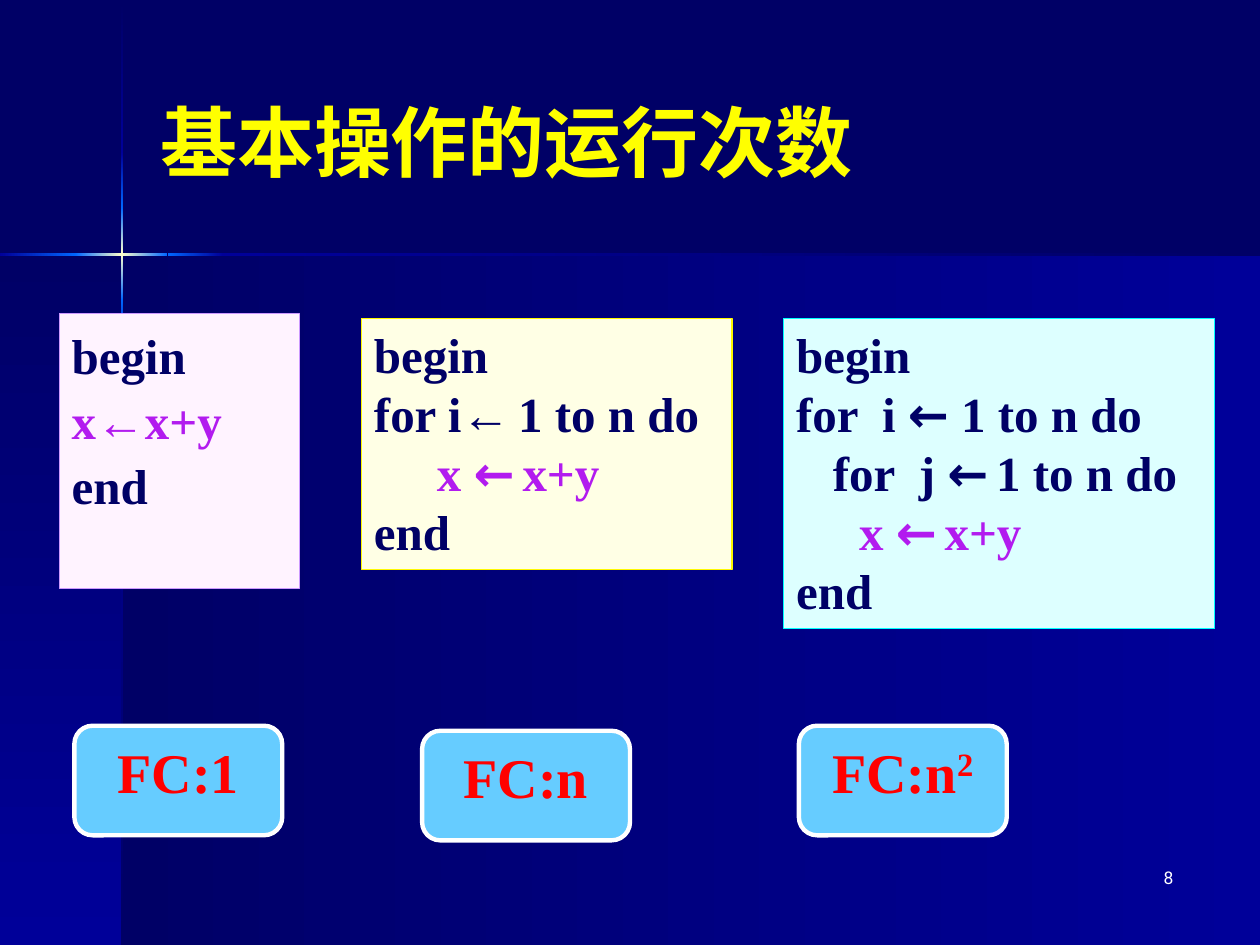
"""Build the slide on how often the basic operation runs in three programs."""
from pptx import Presentation, util as u
from pptx.dml.color import RGBColor
from pptx.enum import shapes, text
from pptx.oxml import parse_xml
from pptx.oxml.ns import nsdecls

COLORS = {
    "navy": "000066", "blue": "000099", "bright": "0066FF", "glow": "FFFFCC",
    "title": "FFFF00", "white": "FFFFFF", "action": "B21BEF", "count": "FF0000",
    "button": "66CCFF", "pink": "FFF3FF", "pink line": "CC99FF", "cream": "FFFFE5",
    "cream line": "FEF800", "cyan": "DDFFFF", "cyan line": "00FFFF",
}
WIDTH, HEIGHT = 10, 7.5
CROSS_X, CROSS_Y, BEAM = 0.97, 2.02, 0.02
CODE_TOP, BUTTON_TOP = 2.53, 5.76
BUTTON_SIZE = (1.65, 0.87)

TITLE = "基本操作的运行次数"
PAGE = "8"
FORMATS = {
    "title": dict(name="Roboto", size=u.Pt(44), bold=True, color="title"),
    "page": dict(name="Roboto", size=u.Pt(10), bold=False, color="white"),
    "code": dict(name="Times New Roman", size=u.Pt(28), bold=True, color="navy"),
    "action": dict(name="Times New Roman", size=u.Pt(28), bold=True, color="action"),
    "arrow": dict(name="Roboto", size=u.Pt(28), bold=True, color="navy"),
    "action arrow": dict(name="Roboto", size=u.Pt(28), bold=True, color="action"),
    "gap": dict(name="Roboto", size=u.Pt(18), bold=False, color="white"),
    "count": dict(name="Times New Roman", size=u.Pt(32), bold=True, color="count"),
}
BEGIN, END, LOOP = [("begin", "code")], [("end", "code")], ("1 to n do", "code")
GAP = (" ", "gap")
INNER_ACTION = [("\tx ", "action"), ("←", "action arrow"), GAP, ("x+y", "action")]
PROGRAMS = [
    dict(box=(0.47, CODE_TOP - 0.04, 1.91, 2.18), color="pink", spacing=1.1,
         lines=[BEGIN, [("x←x+y", "action")], END],
         button=(0.59, BUTTON_TOP), count="FC:1", power=""),
    dict(box=(2.87, CODE_TOP, 2.94, 1.99), color="cream", spacing=1.0,
         lines=[BEGIN, [("for i←", "code"), GAP, LOOP], INNER_ACTION, END],
         button=(3.35, BUTTON_TOP + 0.04), count="FC:n", power=""),
    dict(box=(6.22, CODE_TOP, 3.42, 2.46), color="cyan", spacing=1.0,
         lines=[BEGIN, [("for  i ", "code"), ("← ", "arrow"), LOOP],
                [("   for  j ", "code"), ("←", "arrow"), GAP, LOOP],
                INNER_ACTION, END],
         button=(6.34, BUTTON_TOP), count="FC:n", power="2"),
]
PANELS = [
    ((CROSS_X, CROSS_Y, WIDTH - CROSS_X, HEIGHT - CROSS_Y), 0),
    ((0, CROSS_Y, CROSS_X, HEIGHT - CROSS_Y), 90),
]
VERTICAL_BEAM = [
    (0.01, 1.21, ["navy", "blue"]), (2.82, HEIGHT, ["blue", "navy"]),
    (2.38, 2.82, ["bright", "blue"]), (1.21, 1.65, ["blue", "bright"]),
    (1.65, 2.38, ["bright", "glow", "bright"]),
]
HORIZONTAL_BEAM = [
    (1.77, WIDTH, ["blue", "navy"]), (0, 0.61, ["blue", "bright"]),
    (1.33, 1.77, ["bright", "blue"]), (0.6, 1.33, ["bright", "glow", "bright"]),
]


def rgb(name):
    return RGBColor.from_string(COLORS[name])


def add_shape(slide, kind, box):
    shape = slide.shapes.add_shape(kind, *map(u.Inches, box))
    shape.shadow.inherit = False
    return shape


def add_gradient(slide, box, angle, names):
    shape = add_shape(slide, shapes.MSO_SHAPE.RECTANGLE, box)
    shape.line.fill.background()
    shape.fill.background()
    stops = "".join(
        f'<a:gs pos="{index * 100000 // (len(names) - 1)}">'
        f'<a:srgbClr val="{COLORS[name]}"/></a:gs>'
        for index, name in enumerate(names))
    gradient = parse_xml(
        f'<a:gradFill {nsdecls("a")} rotWithShape="1"><a:gsLst>{stops}</a:gsLst>'
        f'<a:lin ang="{angle * 60000}" scaled="0"/></a:gradFill>')
    properties = shape.element.spPr
    properties.replace(properties.find("{*}noFill"), gradient)


def add_run(paragraph, words, style):
    run = paragraph.add_run()
    run.text = words
    for key, value in FORMATS[style].items():
        if key == "color":
            run.font.color.rgb = rgb(value)
        else:
            setattr(run.font, key, value)
    return run


def write(shape, lines, align, anchor=text.MSO_ANCHOR.TOP, wrap=True, spacing=1.0):
    frame = shape.text_frame
    frame.word_wrap = wrap
    frame.vertical_anchor = anchor
    for index, line in enumerate(lines):
        paragraph = frame.add_paragraph() if index else frame.paragraphs[0]
        paragraph.alignment = align
        paragraph.line_spacing = spacing
        for words, style in line:
            add_run(paragraph, words, style)


def paint(shape, fill, line, width):
    shape.fill.solid()
    shape.fill.fore_color.rgb = rgb(fill)
    shape.line.color.rgb = rgb(line)
    shape.line.width = u.Pt(width)


def add_backdrop(slide):
    slide.background.fill.solid()
    slide.background.fill.fore_color.rgb = rgb("navy")
    for box, angle in PANELS:
        add_gradient(slide, box, angle, ["navy", "blue"])
    for start, end, names in VERTICAL_BEAM:
        add_gradient(slide, (CROSS_X - BEAM / 2, start, BEAM, end - start), 90, names)
    for start, end, names in HORIZONTAL_BEAM:
        add_gradient(slide, (start, CROSS_Y - BEAM / 2, end - start, BEAM), 0, names)


def add_program(slide, program):
    code = add_shape(slide, shapes.MSO_SHAPE.RECTANGLE, program["box"])
    paint(code, program["color"], program["color"] + " line", 0.75)
    write(code, program["lines"], text.PP_ALIGN.LEFT, spacing=program["spacing"])

    button = add_shape(slide, shapes.MSO_SHAPE.ROUNDED_RECTANGLE,
                       program["button"] + BUTTON_SIZE)
    paint(button, "button", "white", 2.5)
    write(button, [[(program["count"], "count")]], text.PP_ALIGN.CENTER, wrap=False)
    if program["power"]:
        power = add_run(button.text_frame.paragraphs[0], program["power"], "count")
        power.font._element.set("baseline", "30000")


def main():
    presentation = Presentation()
    presentation.slide_width, presentation.slide_height = u.Inches(WIDTH), u.Inches(HEIGHT)
    slide = presentation.slides.add_slide(presentation.slide_layouts[5])
    add_backdrop(slide)

    title = slide.shapes.title
    title.left, title.top, title.width, title.height = map(
        u.Inches, (1.17, 0.33, 8.25, 1.57))
    write(title, [[(TITLE, "title")]], text.PP_ALIGN.LEFT, text.MSO_ANCHOR.MIDDLE)

    page = slide.shapes.add_textbox(*map(u.Inches, (7.33, 6.83, 2.08, 0.5)))
    write(page, [[(PAGE, "page")]], text.PP_ALIGN.RIGHT)

    for program in PROGRAMS:
        add_program(slide, program)
    presentation.save("out.pptx")


if __name__ == "__main__":
    main()
